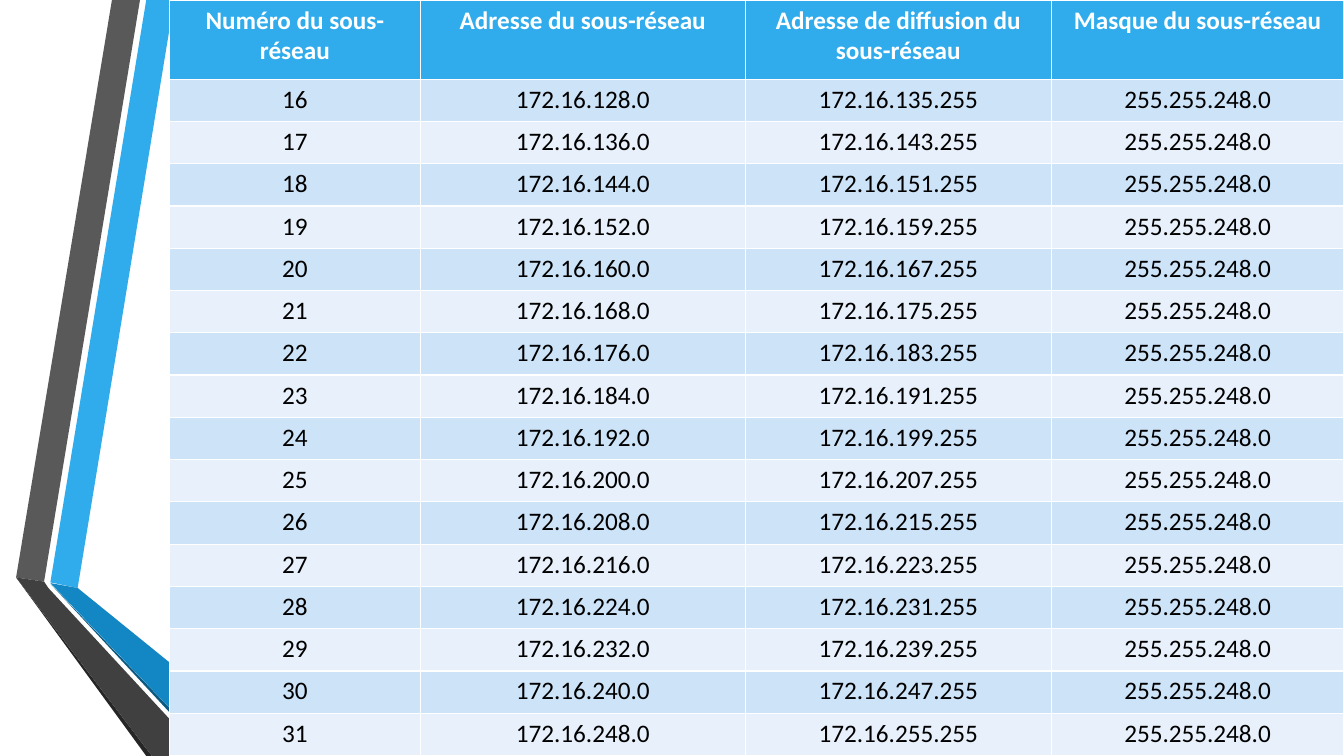
from pptx import Presentation
from pptx.dml.color import RGBColor as RGB
from pptx.enum.text import PP_ALIGN as Align
from pptx.util import Pt

# Content
HEADS = ["Numéro du sous-réseau", "Adresse du sous-réseau",
         "Adresse de diffusion du sous-réseau", "Masque du sous-réseau"]
STEP = 8  # addresses in the third byte of each subnet
NETS = [(str(n), f"172.16.{n * STEP}.0", f"172.16.{n * STEP + STEP - 1}.255",
         "255.255.248.0") for n in range(16, 32)]

# Colours
BLUE, WHITE, BLACK = RGB(0x30, 0xAC, 0xEC), RGB(255, 255, 255), RGB(0, 0, 0)
BANDS = [RGB(0xCD, 0xE3, 0xF8), RGB(0xE8, 0xF1, 0xFB)]
GREY, DARK, COAL = RGB(0x59, 0x59, 0x59), RGB(0x40, 0x40, 0x40), RGB(0x26, 0x26, 0x26)
DEEP, NAVY = RGB(0x12, 0x87, 0xC3), RGB(0x0C, 0x5A, 0x82)

# Folded ribbons, back to front, in points
RIBBONS = [
    (BLUE, [(36, 416), (55.5, 420), (124.5, 0), (104.5, 0)]),
    (GREY, [(100, 0), (80, 0), (11.5, 412.5), (31.5, 415.5)]),
    (COAL, [(11.5, 412.5), (104.5, 540), (108.5, 540)]),
    (NAVY, [(36, 417), (150, 540), (154, 540)]),
    (DEEP, [(36, 416.5), (154, 540), (203.5, 540), (55.5, 420)]),
    (DARK, [(145.5, 540), (34.5, 420), (31.5, 415.5), (11.5, 412.5), (108.5, 540)]),
]

# Sizes
WIDE, HIGH = 960, 540
LEFT, TOP_ROW = 121, 56.6
COLS = [179.3, 232, 218.8, 208.8]
ROW = (HIGH - TOP_ROW) / len(NETS)
FONT = {"name": "Calibri", "size": Pt(18)}

deck = Presentation()
deck.slide_width, deck.slide_height = Pt(WIDE), Pt(HIGH)
slide = deck.slides.add_slide(deck.slide_layouts[6])

# Ribbons
for tint, spots in RIBBONS:
    first, *rest = [(Pt(x), Pt(y)) for x, y in spots]
    pen = slide.shapes.build_freeform(*first)
    pen.add_line_segments(rest)
    shape = pen.convert_to_shape()
    shape.shadow.inherit = False
    shape.fill.solid()
    shape.fill.fore_color.rgb = tint
    shape.line.fill.background()

# Subnet table
rows = [HEADS, *NETS]
grid = slide.shapes.add_table(len(rows), len(COLS), Pt(LEFT), Pt(0),
                              Pt(sum(COLS)), Pt(HIGH)).table
for col, width in zip(grid.columns, COLS):
    col.width = Pt(width)
for r, texts in enumerate(rows):
    head = r == 0
    grid.rows[r].height = Pt(TOP_ROW if head else ROW)
    for c, text in enumerate(texts):
        cell = grid.cell(r, c)
        cell.fill.solid()
        cell.fill.fore_color.rgb = BLUE if head else BANDS[(r - 1) % 2]
        para = cell.text_frame.paragraphs[0]
        para.alignment = Align.CENTER
        run = para.add_run()
        run.text = text
        for key, value in {**FONT, "bold": head}.items():
            setattr(run.font, key, value)
        run.font.color.rgb = WHITE if head else BLACK

deck.save("out.pptx")
